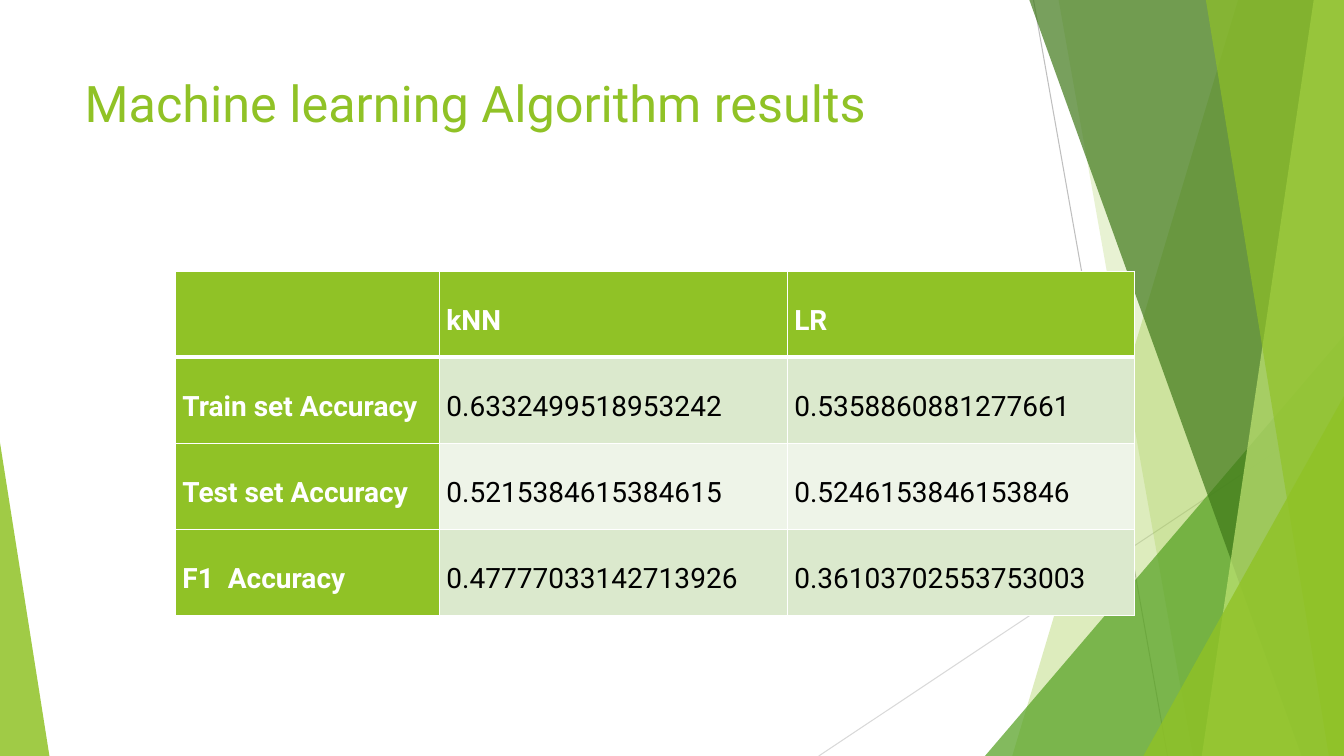
from dataclasses import dataclass

from lxml import etree
from pptx import Presentation
from pptx.dml.color import RGBColor
from pptx.enum.shapes import MSO_CONNECTOR, MSO_SHAPE
from pptx.enum.text import MSO_ANCHOR, PP_ALIGN
from pptx.oxml.ns import qn
from pptx.util import Inches, Pt

LINE = MSO_CONNECTOR.STRAIGHT
WEDGE = MSO_SHAPE.ISOSCELES_TRIANGLE
TOP = MSO_ANCHOR.TOP
LEFT = PP_ALIGN.LEFT
FULL = PP_ALIGN.JUSTIFY


@dataclass(frozen=True)
class Theme:
    font: str = "Roboto"
    head: int = 36
    body: int = 20
    lime: str = "90C226"
    leaf: str = "54A021"
    moss: str = "3F7819"
    pale: str = "C0E474"
    white: str = "FFFFFF"
    black: str = "000000"
    grey: str = "BFBFBF"
    mist: str = "D9D9D9"
    bands: tuple = ("DBE9CD", "EEF4E8")


class Deck:
    def __init__(self, theme):
        self.theme = theme
        self.file = Presentation()
        self.file.slide_width = Inches(13.33)
        self.file.slide_height = Inches(7.5)
        self.slide = self.file.slides.add_slide(self.file.slide_layouts[5])
        self.shapes = self.slide.shapes

    def x(self, share):
        return round(self.file.slide_width * share / 100)

    def y(self, share):
        return round(self.file.slide_height * share / 100)

    def box(self, left, top, width, height):
        return self.x(left), self.y(top), self.x(width), self.y(height)

    def style(self, text, size, color, bold=False):
        for run in text.runs:
            run.font.name = self.theme.font
            run.font.size = Pt(size)
            run.font.bold = bold
            run.font.color.rgb = RGBColor.from_string(color)

    def paint(self, shape, color, alpha):
        shape.shadow.inherit = False
        shape.line.fill.background()
        shape.fill.solid()
        shape.fill.fore_color.rgb = RGBColor.from_string(color)
        tone = shape.fill._xPr.find(qn("a:solidFill"))[0]
        etree.SubElement(tone, qn("a:alpha"), val=str(alpha * 1000))

    def line(self, start, end, color):
        rule = self.shapes.add_connector(
            LINE, self.x(start[0]), self.y(start[1]), self.x(end[0]), self.y(end[1]))
        rule.line.color.rgb = RGBColor.from_string(color)
        rule.line.width = Pt(0.75)
        etree.SubElement(rule._element.spPr, qn("a:effectLst"))

    def band(self, top, base, color, alpha):
        pen = self.shapes.build_freeform(self.x(top), 0)
        pen.add_line_segments([
            (self.x(100), 0), (self.x(100), self.y(100)), (self.x(base), self.y(100))])
        self.paint(pen.convert_to_shape(), color, alpha)

    def wedge(self, left, top, width, peak, color, alpha):
        shape = self.shapes.add_shape(WEDGE, *self.box(left, top, width, 100 - top))
        shape.adjustments[0] = peak
        self.paint(shape, color, alpha)

    def title(self, text, place):
        shape = self.shapes.title
        shape.left, shape.top, shape.width, shape.height = self.box(*place)
        frame = shape.text_frame
        frame.text = text
        frame.word_wrap = True
        frame.vertical_anchor = TOP
        frame.paragraphs[0].alignment = LEFT
        self.style(frame.paragraphs[0], self.theme.head, self.theme.lime)
        tree = shape._element.getparent()
        tree.append(shape._element)

    def edge(self, cell, side, width):
        line = etree.Element(qn("a:" + side), w=str(Pt(width)))
        fill = etree.SubElement(line, qn("a:solidFill"))
        etree.SubElement(fill, qn("a:srgbClr"), val=self.theme.white)
        return line

    def cell(self, cell, text, fill, color, bold, base):
        cell.fill.solid()
        cell.fill.fore_color.rgb = RGBColor.from_string(fill)
        cell.margin_left = cell.margin_right = Inches(0.07)
        cell.margin_top = cell.margin_bottom = 0
        cell.vertical_anchor = TOP
        widths = {"lnL": 1, "lnR": 1, "lnT": 1, "lnB": base}
        for spot, (side, width) in enumerate(widths.items()):
            cell._tc.tcPr.insert(spot, self.edge(cell, side, width))
        if text:
            cell.text_frame.text = text
            para = cell.text_frame.paragraphs[0]
            para.alignment = FULL
            para.line_spacing = 2.0
            self.style(para, self.theme.body, color, bold)

    def table(self, data, place, cols):
        look = self.theme
        grid = self.shapes.add_table(len(data), len(cols), *self.box(*place)).table
        for col, width in zip(grid.columns, cols):
            col.width = self.x(width)
        for r, row in enumerate(data):
            for c, text in enumerate(row):
                head = r == 0 or c == 0
                fill = look.lime if head else look.bands[(r - 1) % 2]
                color = look.white if head else look.black
                self.cell(grid.cell(r, c), text, fill, color, head, 1 if r else 3)


def main():
    look = Theme()
    deck = Deck(look)
    deck.line((76.9, 0), (86.87, 100), look.grey)
    deck.line((100, 53.73), (60.92, 100), look.mist)
    deck.band(92.12, 75.32, look.lime, 30)
    deck.band(78.77, 88.75, look.lime, 20)
    deck.wedge(73.29, 44.4, 26.71, 1, look.leaf, 72)
    deck.band(76.59, 96.85, look.moss, 70)
    deck.band(97.75, 89.42, look.pale, 70)
    deck.band(89.72, 98.87, look.lime, 65)
    deck.wedge(85.07, 52.4, 14.93, 1, look.lime, 80)
    deck.wedge(0, 58.53, 3.68, 0, look.lime, 85)
    deck.title("Machine learning Algorithm results", (5.55, 8.93, 70.52, 19.2))
    deck.table([
        ("", "kNN", "LR"),
        ("Train set Accuracy", "0.6332499518953242", "0.5358860881277661"),
        ("Test set Accuracy", "0.5215384615384615", "0.5246153846153846"),
        ("F1  Accuracy", "0.47777033142713926", "0.36103702553753003"),
    ], (13.05, 35.87, 71.34, 45.6), (19.65, 25.88, 25.81))
    deck.file.save("out.pptx")


if __name__ == "__main__":
    main()
